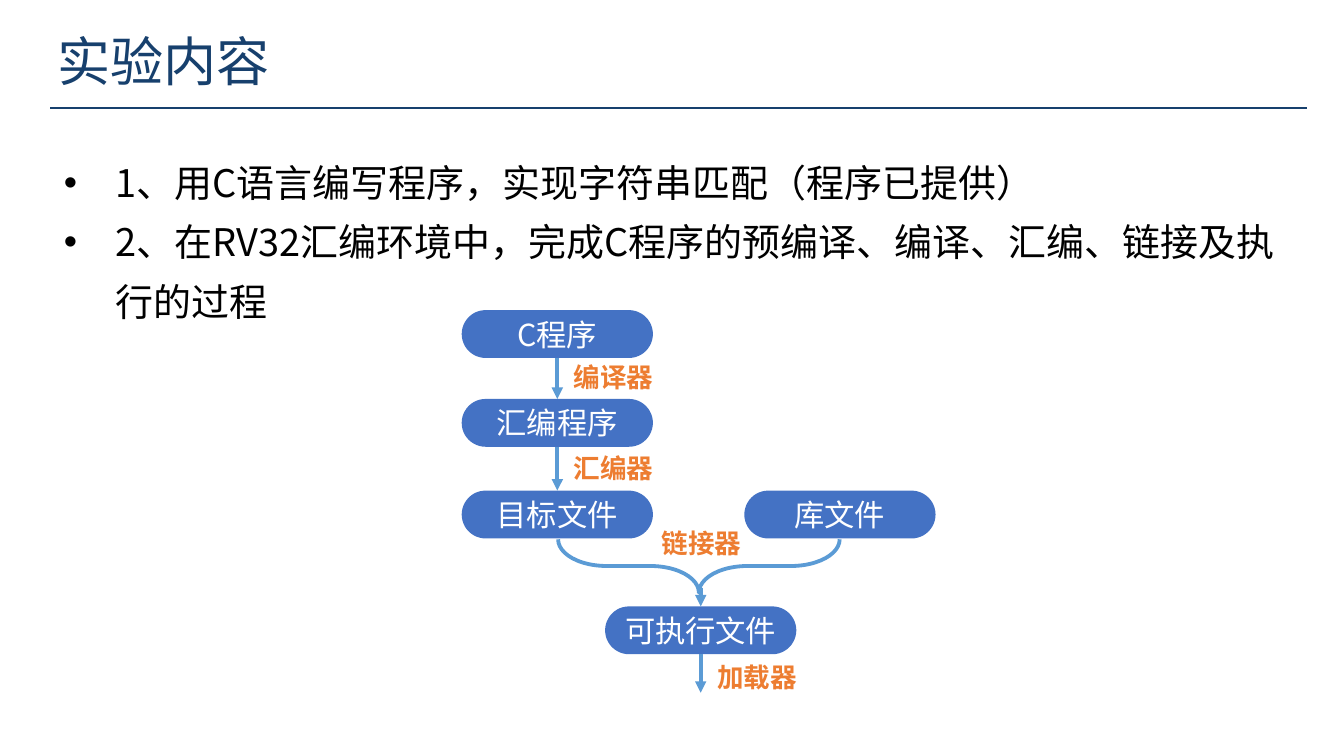
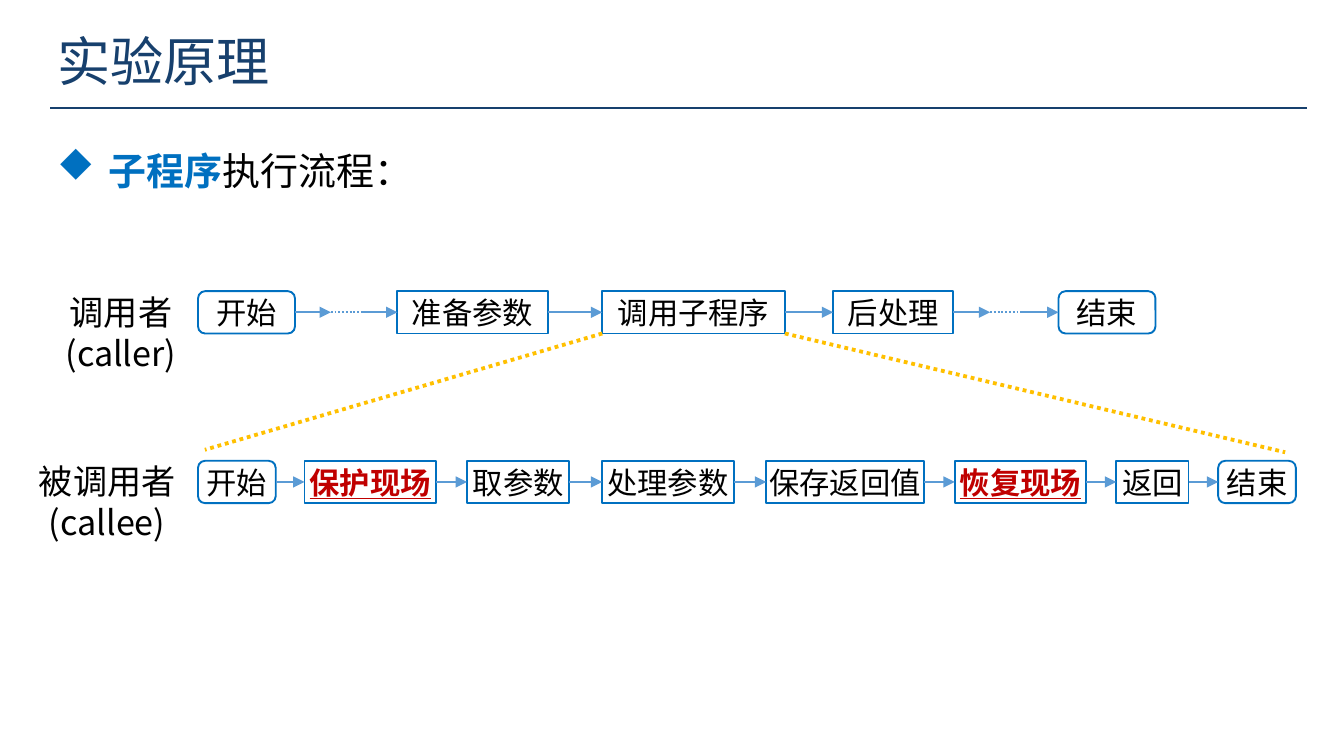
from pptx import Presentation
from pptx.dml.color import RGBColor
from pptx.enum.dml import MSO_LINE
from pptx.enum.shapes import MSO_CONNECTOR, MSO_SHAPE
from pptx.enum.text import MSO_ANCHOR, PP_ALIGN
from pptx.oxml.xmlchemy import OxmlElement
from pptx.util import Pt

STRAIGHT = MSO_CONNECTOR.STRAIGHT
RECTANGLE = MSO_SHAPE.RECTANGLE
ROUNDED = MSO_SHAPE.ROUNDED_RECTANGLE
LEFT_BRACE = MSO_SHAPE.LEFT_BRACE
DOTTED = MSO_LINE.ROUND_DOT
LEFT, CENTER = PP_ALIGN.LEFT, PP_ALIGN.CENTER
TOP, MIDDLE = MSO_ANCHOR.TOP, MSO_ANCHOR.MIDDLE

NAVY = RGBColor(0x17, 0x40, 0x6D)
BLUE = RGBColor(0x00, 0x70, 0xC0)
NODE_BLUE = RGBColor(0x44, 0x72, 0xC4)
ARROW_BLUE = RGBColor(0x5B, 0x9B, 0xD5)
ORANGE = RGBColor(0xED, 0x7D, 0x31)
GOLD = RGBColor(0xFF, 0xC0, 0x00)
RED = RGBColor(0xC0, 0x00, 0x00)
BLACK = RGBColor(0x00, 0x00, 0x00)
WHITE = RGBColor(0xFF, 0xFF, 0xFF)

FONT = "Noto Sans CJK SC"
SITE_TOP, SITE_LEFT, SITE_BOTTOM, SITE_RIGHT = range(4)


def add_element(parent, tag, **attributes):
    element = OxmlElement(tag)
    for name, value in attributes.items():
        element.set(name, value)
    parent.append(element)


def add_run(paragraph, text, size=16, color=BLACK, bold=False, underline=False):
    run = paragraph.add_run()
    run.text = text
    font = run.font
    font.name, font.size, font.bold = FONT, Pt(size), bold
    font.underline = underline
    font.color.rgb = color
    add_element(font._element, "a:ea", typeface=FONT)


def write(frame, paragraphs, align=LEFT, anchor=TOP, insets=(7.2, 3.6, 7.2, 3.6),
          wrap=True, spacing=1, bullet=None, **style):
    frame.word_wrap = wrap
    frame.vertical_anchor = anchor
    (frame.margin_left, frame.margin_top,
     frame.margin_right, frame.margin_bottom) = map(Pt, insets)
    for index, runs in enumerate(paragraphs):
        paragraph = frame.paragraphs[0] if index == 0 else frame.add_paragraph()
        paragraph.alignment = align
        paragraph.line_spacing = float(spacing)
        if bullet:
            typeface, character = bullet
            properties = paragraph._p.get_or_add_pPr()
            properties.set("marL", str(int(Pt(27))))
            properties.set("indent", str(int(Pt(-27))))
            add_element(properties, "a:buFont", typeface=typeface)
            add_element(properties, "a:buChar", char=character)
        for text, changes in runs:
            add_run(paragraph, text, **{**style, **changes})


def plain(*lines):
    return [[(line, {})] for line in lines]


class Deck:
    def __init__(self, width, height):
        self.presentation = Presentation()
        self.presentation.slide_width = Pt(width)
        self.presentation.slide_height = Pt(height)
        self.slide = None

    def new_slide(self, title):
        layout = self.presentation.slide_layouts[6]
        self.slide = self.presentation.slides.add_slide(layout)
        self.line((26.6, 57), (689, 57), NAVY)
        self.text((23, 11.5, 400, 41), plain(title), size=28, color=NAVY)

    def text(self, box, paragraphs, **style):
        shape = self.slide.shapes.add_textbox(*map(Pt, box))
        write(shape.text_frame, paragraphs, **style)

    def body(self, box, paragraphs, bullet, spacing):
        self.text(box, paragraphs, bullet=bullet, spacing=spacing,
                  size=20, insets=(7.2, 3.6, 0, 3.6))

    def label(self, left, top, text):
        self.text((left, top, 56.9, 24.5), plain(text), wrap=False,
                  size=14, color=ORANGE, bold=True)

    def shape(self, kind, box, fill=None, outline=None, weight=1):
        shape = self.slide.shapes.add_shape(kind, *map(Pt, box))
        shape.shadow.inherit = False
        if fill:
            shape.fill.solid()
            shape.fill.fore_color.rgb = fill
        else:
            shape.fill.background()
        if outline:
            shape.line.color.rgb = outline
            shape.line.width = Pt(weight)
        else:
            shape.line.fill.background()
        return shape

    def node(self, kind, box, text, fill=None, outline=None, **style):
        shape = self.shape(kind, box, fill, outline)
        write(shape.text_frame, plain(text), align=CENTER, anchor=MIDDLE,
              insets=(0, 0, 0, 0), **style)
        return shape

    def line(self, start, end, color=ARROW_BLUE, weight=1, dash=None, arrow=False):
        connector = self.slide.shapes.add_connector(
            STRAIGHT, *map(Pt, (*start, *end)))
        connector.line.color.rgb = color
        connector.line.width = Pt(weight)
        if dash:
            connector.line.dash_style = dash
        if arrow:
            add_element(connector.line._get_or_add_ln(), "a:tailEnd", type="triangle")
        add_element(connector._element.spPr, "a:effectLst")
        return connector

    def join(self, first, first_site, second, second_site, weight=1):
        connector = self.line((0, 0), (0, 0), weight=weight, arrow=True)
        connector.begin_connect(first, first_site)
        connector.end_connect(second, second_site)

    def flow_row(self, top, height, steps, elided=()):
        boxes = []
        for text, left, width, kind, style in steps:
            boxes.append(self.node(kind, (left, top, width, height), text,
                                   outline=BLUE, **style))
        middle = top + height / 2
        for index, (first, second) in enumerate(zip(boxes, boxes[1:])):
            if index not in elided:
                self.join(first, SITE_RIGHT, second, SITE_LEFT)
                continue
            start = first.left.pt + first.width.pt
            gap = second.left.pt - start
            stops = [start + gap * part for part in (0, 0.35, 0.65, 1)]
            for part, (begin, end) in enumerate(zip(stops, stops[1:])):
                dots = part == 1
                self.line((begin, middle), (end, middle),
                          dash=DOTTED if dots else None, arrow=not dots)


def build_content_slide(deck):
    deck.new_slide("实验内容")
    deck.body((26.6, 73.4, 648, 133), plain(
        "1、用C语言编写程序，实现字符串匹配（程序已提供）",
        "2、在RV32汇编环境中，完成C程序的预编译、编译、汇编、链接及执行的过程",
    ), bullet=("Arial", "•"), spacing=1.3)

    places = {
        "C程序": (243.4, 163.4),
        "汇编程序": (243.4, 210.2),
        "目标文件": (243.4, 258.5),
        "库文件": (392.4, 258.5),
        "可执行文件": (319, 319.5),
    }
    nodes = {}
    for text, place in places.items():
        node = deck.node(ROUNDED, (*place, 100.8, 25.2), text,
                         fill=NODE_BLUE, color=WHITE)
        node.adjustments[0] = 0.5
        nodes[text] = node
    for first, second in (("C程序", "汇编程序"), ("汇编程序", "目标文件")):
        deck.join(nodes[first], SITE_BOTTOM, nodes[second], SITE_TOP, weight=2)

    brace = deck.shape(LEFT_BRACE, (354.4, 224, 28.1, 148.4),
                       outline=ARROW_BLUE, weight=2)
    brace.rotation = 270
    brace.adjustments[0] = 0.91
    for top, bottom in ((309.6, 319.5), (344.7, 365)):
        deck.line((369.4, top), (369.4, bottom), weight=2, arrow=True)

    for left, top, text in ((295.2, 186.5, "编译器"), (295.2, 234.5, "汇编器"),
                            (341.6, 274, "链接器"), (371, 344.5, "加载器")):
        deck.label(left, top, text)


def build_principle_slide(deck):
    deck.new_slide("实验原理")
    deck.body((23, 62, 666, 72.7),
              [[("子程序", {"color": BLUE, "bold": True}), ("执行流程：", {})]],
              bullet=("Wingdings", "u"), spacing=1.5)

    marked = {"color": RED, "bold": True, "underline": True}
    caller_top, callee_top, height = 153.4, 242.8, 22.3
    deck.flow_row(caller_top, height, [
        ("开始", 104.4, 51.1, ROUNDED, {}),
        ("准备参数", 209.5, 79.2, RECTANGLE, {}),
        ("调用子程序", 317.5, 96.3, RECTANGLE, {}),
        ("后处理", 439.2, 63.4, RECTANGLE, {}),
        ("结束", 558, 51.1, ROUNDED, {}),
    ], elided=(0, 3))
    deck.flow_row(callee_top, height, [
        ("开始", 104.4, 41, ROUNDED, {}),
        ("保护现场", 160.5, 69.3, RECTANGLE, marked),
        ("取参数", 246.2, 54, RECTANGLE, {}),
        ("处理参数", 317.5, 69.3, RECTANGLE, {}),
        ("保存返回值", 403.9, 83.2, RECTANGLE, {}),
        ("恢复现场", 503.3, 69.3, RECTANGLE, marked),
        ("返回", 588.4, 38.2, RECTANGLE, {}),
        ("结束", 642.2, 41, ROUNDED, {}),
    ])

    call_bottom = caller_top + height
    for start, end in (((317.5, call_bottom), (108, 237)),
                       ((413.8, call_bottom), (677.5, 238.3))):
        deck.line(start, end, GOLD, weight=2, dash=DOTTED)

    for box, lines in (((27.4, 149.8, 72.7, 51), ("调用者", "(caller)")),
                       ((13, 239, 87, 51), ("被调用者", "(callee)"))):
        deck.text(box, plain(*lines), align=CENTER, wrap=False, size=18)


def main():
    deck = Deck(708.5, 396.75)
    build_content_slide(deck)
    build_principle_slide(deck)
    deck.presentation.save("out.pptx")


if __name__ == "__main__":
    main()
